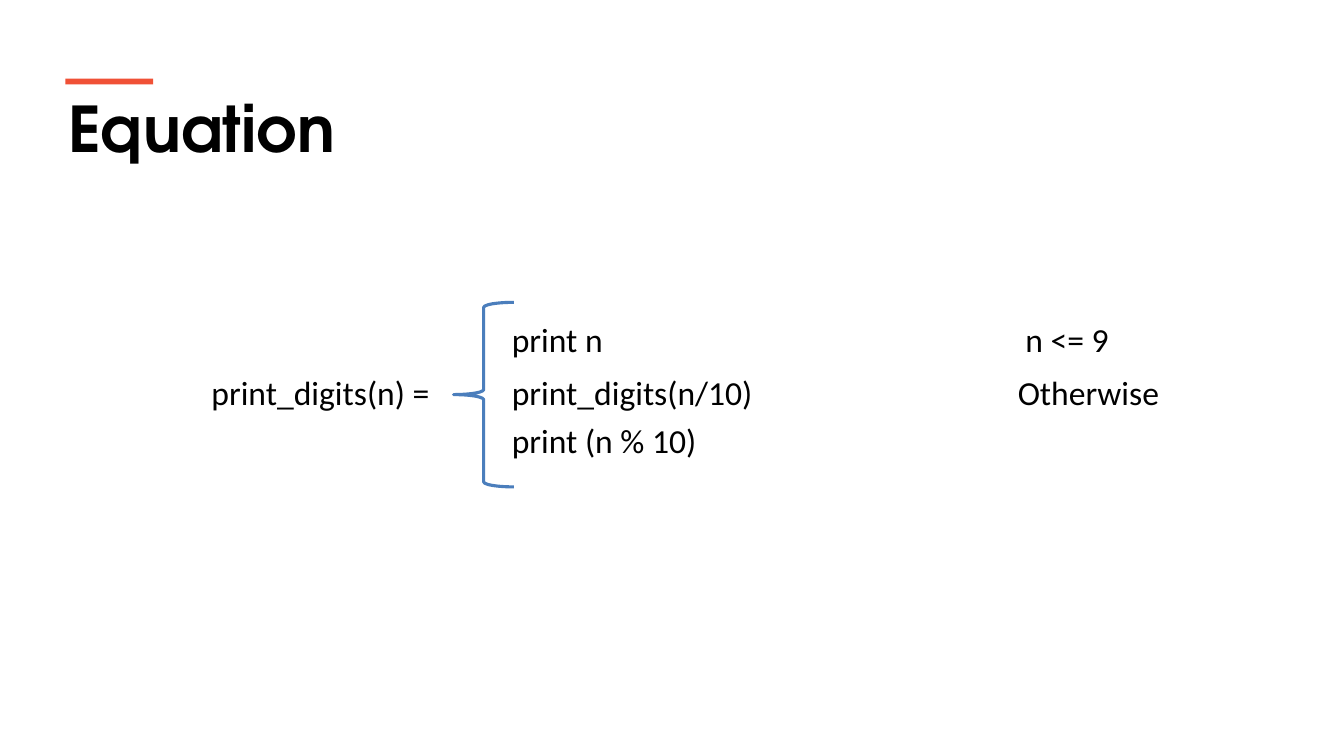
from dataclasses import dataclass

from pptx import Presentation
from pptx.dml.color import RGBColor
from pptx.enum.shapes import MSO_SHAPE
from pptx.enum.text import MSO_AUTO_SIZE
from pptx.slide import Slide
from pptx.util import Cm, Pt

RECTANGLE = MSO_SHAPE.RECTANGLE
LEFT_BRACE = MSO_SHAPE.LEFT_BRACE
FIT_SHAPE = MSO_AUTO_SIZE.SHAPE_TO_FIT_TEXT

BLACK = "000000"
ACCENT = "F05136"
BRACE_BLUE = "4B7EBC"

NAME_LEFT, ACTION_LEFT, CONDITION_LEFT = 5.08, 12.65, 25.4
FIRST_ROW, SECOND_ROW, THIRD_ROW = 7.92, 9.25, 10.46


@dataclass(frozen=True)
class Label:
    text: str
    left: float
    top: float
    width: float
    height: float = 1.27
    font: str = "Calibri"
    size: float = 24
    bold: bool = False


LABELS = [
    Label("Equation", 1.47, 2.13, 30.94, 2.18, "TeX Gyre Adventor", 45, True),
    Label("print n", ACTION_LEFT, FIRST_ROW, 5.61),
    Label("print_digits(n/10)", ACTION_LEFT, SECOND_ROW, 8),
    Label("print (n % 10)", ACTION_LEFT, THIRD_ROW, 8),
    Label("print_digits(n) =", NAME_LEFT, SECOND_ROW, 6.3),
    Label(" n <= 9", CONDITION_LEFT, FIRST_ROW, 3.4),
    Label("Otherwise", CONDITION_LEFT, SECOND_ROW, 4.5),
]


def color(value: str) -> RGBColor:
    return RGBColor.from_string(value)


def add_label(page: Slide, label: Label) -> None:
    box = page.shapes.add_textbox(
        Cm(label.left), Cm(label.top), Cm(label.width), Cm(label.height)
    )
    frame = box.text_frame
    frame.word_wrap = True
    frame.auto_size = FIT_SHAPE
    span = frame.paragraphs[0].add_run()
    span.text = label.text
    span.font.name = label.font
    span.font.size = Pt(label.size)
    span.font.bold = label.bold
    span.font.color.rgb = color(BLACK)


def add_title_bar(page: Slide) -> None:
    bar = page.shapes.add_shape(RECTANGLE, Cm(1.65), Cm(1.98), Cm(2.21), Cm(0.15))
    bar.shadow.inherit = False
    bar.fill.solid()
    bar.fill.fore_color.rgb = color(ACCENT)
    bar.line.fill.background()


def add_case_brace(page: Slide) -> None:
    brace = page.shapes.add_shape(LEFT_BRACE, Cm(11.43), Cm(7.62), Cm(1.52), Cm(4.65))
    brace.shadow.inherit = False
    brace.fill.background()
    brace.line.color.rgb = color(BRACE_BLUE)
    brace.line.width = Pt(2.25)


def main() -> None:
    deck = Presentation()
    deck.slide_width = Cm(33.87)
    deck.slide_height = Cm(19.05)
    page = deck.slides.add_slide(deck.slide_layouts[6])
    add_title_bar(page)
    add_case_brace(page)
    for label in LABELS:
        add_label(page, label)
    deck.save("out.pptx")


if __name__ == "__main__":
    main()
